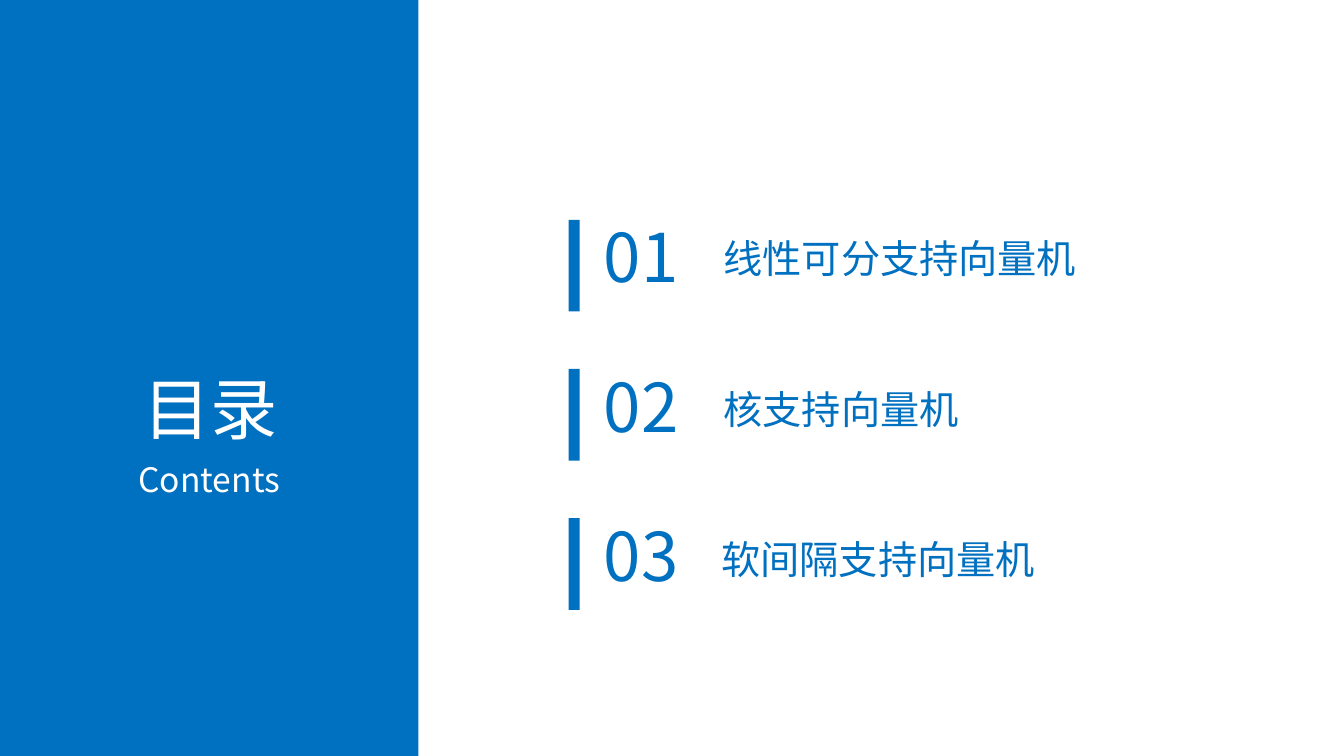
from dataclasses import dataclass

from lxml import etree
from pptx import Presentation
from pptx.dml.color import RGBColor
from pptx.enum.shapes import MSO_SHAPE
from pptx.enum.text import MSO_ANCHOR, MSO_AUTO_SIZE, PP_ALIGN
from pptx.oxml.ns import qn
from pptx.util import Pt

RECTANGLE = MSO_SHAPE.RECTANGLE
TOP = MSO_ANCHOR.TOP
FIT_SHAPE = MSO_AUTO_SIZE.SHAPE_TO_FIT_TEXT
LEFT, CENTER = PP_ALIGN.LEFT, PP_ALIGN.CENTER
TITLE_ONLY = 5

SLIDE_WIDTH, SLIDE_HEIGHT = 960, 540
FIRST_ROW_TOP, ROW_PITCH, ROW_HEIGHT = 157, 106.56, 65.5

# Chapter name, then left, offset from the row top, and width of its box
CHAPTERS = [
    ("线性可分支持向量机", 509.8, 10.8, 287.3),
    ("核支持向量机", 509.8, 12.2, 277.2),
    ("软间隔支持向量机", 508.3, 12.2, 271.4),
]


@dataclass(frozen=True)
class Theme:
    font: str = "Noto Sans CJK SC"
    blue: RGBColor = RGBColor(0x00, 0x70, 0xC0)
    white: RGBColor = RGBColor(0xFF, 0xFF, 0xFF)
    large: int = 48
    medium: int = 28
    small: int = 24
    line_spacing: float = 0.9


def write_text(box, text, *, theme, size, color, align=LEFT):
    frame = box.text_frame
    frame.word_wrap = True
    frame.auto_size = FIT_SHAPE
    frame.vertical_anchor = TOP
    frame.margin_left = frame.margin_right = Pt(7.2)
    frame.margin_top = frame.margin_bottom = Pt(3.6)
    para = frame.paragraphs[0]
    para.alignment = align
    para.line_spacing = theme.line_spacing
    para.space_before = Pt(0)
    span = para.add_run()
    span.text = text
    span.font.size = Pt(size)
    span.font.color.rgb = color
    span.font.name = theme.font
    east_asian = etree.SubElement(span.font._element, qn("a:ea"))
    east_asian.set("typeface", theme.font)


class SlideBuilder:
    def __init__(self, page, theme):
        self.page = page
        self.theme = theme

    def block(self, left, top, width, height):
        shape = self.page.shapes.add_shape(
            RECTANGLE, Pt(left), Pt(top), Pt(width), Pt(height))
        shape.shadow.inherit = False
        shape.fill.solid()
        shape.fill.fore_color.rgb = self.theme.blue
        shape.line.fill.background()

    def title(self, text, left, top, width, height, **style):
        """Place the title placeholder in front of everything drawn so far."""
        box = self.page.shapes.title
        box.left, box.top, box.width, box.height = map(
            Pt, (left, top, width, height))
        write_text(box, text, theme=self.theme, **style)
        self.page.shapes._spTree.append(box._element)

    def text(self, text, left, top, width, height, **style):
        box = self.page.shapes.add_textbox(
            Pt(left), Pt(top), Pt(width), Pt(height))
        write_text(box, text, theme=self.theme, **style)


def main():
    deck = Presentation()
    deck.slide_width, deck.slide_height = Pt(SLIDE_WIDTH), Pt(SLIDE_HEIGHT)
    page = deck.slides.add_slide(deck.slide_layouts[TITLE_ONLY])
    theme = Theme()
    builder = SlideBuilder(page, theme)

    builder.block(0, 0, 298.8, SLIDE_HEIGHT)
    builder.title("目录", 85, 265, 130.3, ROW_HEIGHT,
                  size=theme.large, color=theme.white, align=CENTER)
    builder.text("Contents", 77.8, 327.6, 143.3, 36,
                 size=theme.small, color=theme.white, align=CENTER)

    for index, (name, left, offset, width) in enumerate(CHAPTERS):
        top = FIRST_ROW_TOP + index * ROW_PITCH
        builder.text(name, left, top + offset, width, 41,
                     size=theme.medium, color=theme.blue)
        builder.text(f"{index + 1:02}", 418.3, top, 79.2, ROW_HEIGHT,
                     size=theme.large, color=theme.blue, align=CENTER)
        builder.block(406.1, top, 7.9, ROW_HEIGHT)

    deck.save("out.pptx")


if __name__ == "__main__":
    main()
